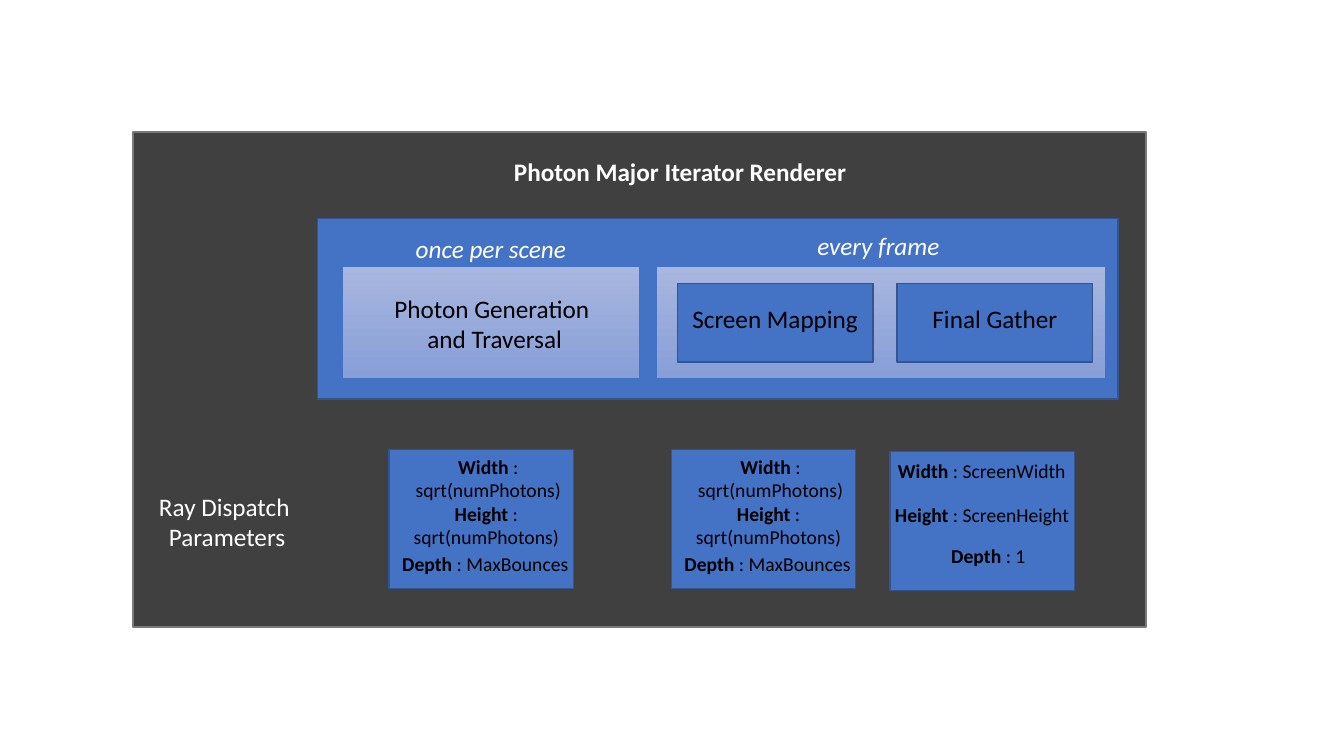
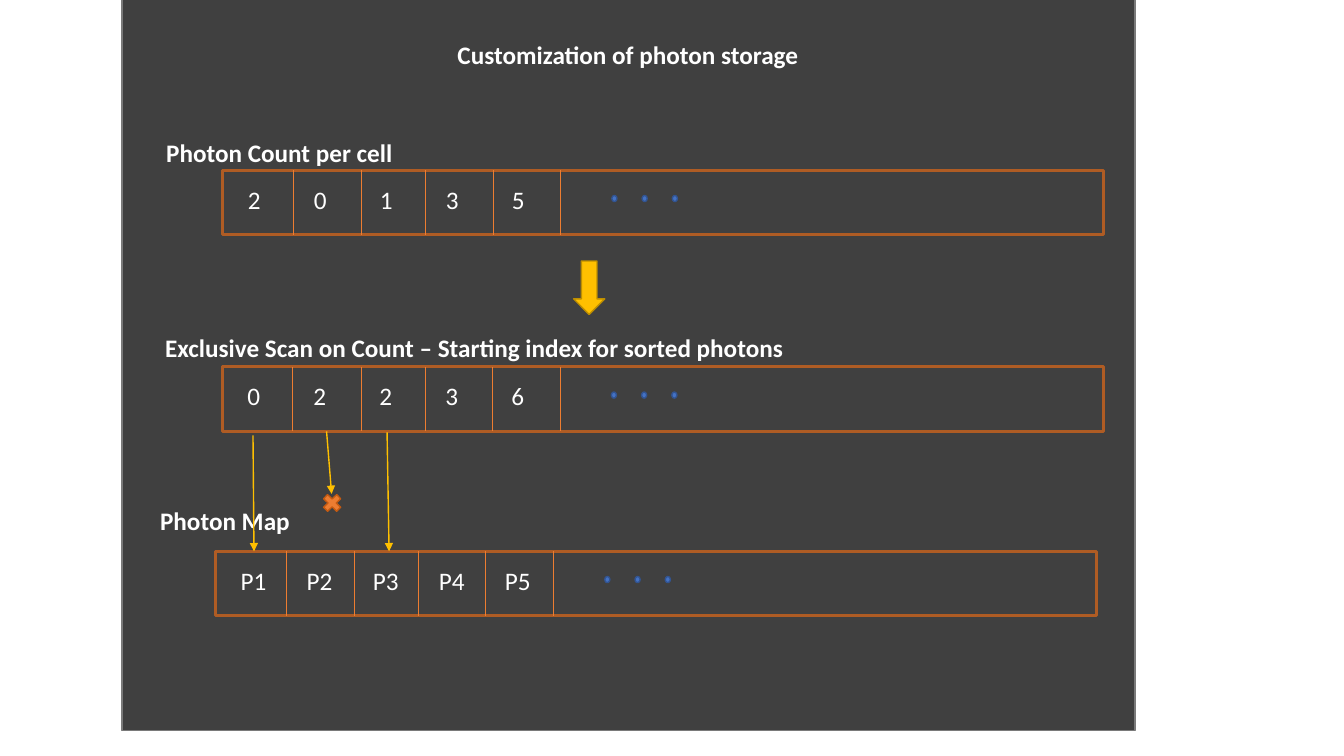
from typing import NamedTuple

from lxml import etree
from pptx import Presentation
from pptx.dml.color import RGBColor
from pptx.enum.shapes import MSO_CONNECTOR, MSO_SHAPE
from pptx.enum.text import MSO_AUTO_SIZE, PP_ALIGN
from pptx.oxml.ns import qn
from pptx.util import Inches, Pt

RECTANGLE, OVAL = MSO_SHAPE.RECTANGLE, MSO_SHAPE.OVAL
DOWN_ARROW, CROSS = MSO_SHAPE.DOWN_ARROW, MSO_SHAPE.MATH_MULTIPLY
STRAIGHT = MSO_CONNECTOR.STRAIGHT
LEFT, CENTER = PP_ALIGN.LEFT, PP_ALIGN.CENTER
FIT_TEXT = MSO_AUTO_SIZE.SHAPE_TO_FIT_TEXT

COLORS = {
    "panel": "404040", "panel_edge": "7A7A7A",
    "blue": "4472C4", "blue_edge": "325491",
    "stage_top": "A8B7DF", "stage_bottom": "889ED7",
    "row_edge": "AF5C24", "orange": "ED7D31", "cross_edge": "C55A11",
    "gold": "FFC000", "gold_edge": "BD8E00",
    "white": "FFFFFF", "black": "000000",
}
GRID = 0.1
COLUMNS, ROWS = 133.33, 75
PANEL_COLUMNS = 100.5
LINE_ROWS = 4
FONT = {"name": "Calibri", "size": Pt(18), "bold": False, "italic": False}

CELL_EDGES = [7, 13.8, 20.1, 26.8, 33.5]
CELL_ROWS = 6.4
LABEL_START, LABEL_STEP = 1.5, 6.55
DOT_START, DOT_STEP = 38.6, 3

PHOTON_LINES = [
    ("Width", " : sqrt(numPhotons)", (0.5, 0, 18.7, 5.7), CENTER),
    ("Height", " : sqrt(numPhotons)", (0.3, 4.7, 18.7, 5.7), CENTER),
    ("Depth", " : MaxBounces", (0.2, 9.7, 18.7, 3.4), CENTER),
]
SCREEN_LINES = [
    ("Width", " : ScreenWidth", (-0.2, 0.2, 18.7, 3.4), LEFT),
    ("Height", " : ScreenHeight", (-0.5, 4.6, 20.1, 3.4), LEFT),
    ("Depth", " : 1", (0.4, 8.7, 18.7, 3.4), CENTER),
]


class Box(NamedTuple):
    """A region measured in grid columns and rows."""
    left: float
    top: float
    width: float
    height: float

    def inside(self, left, top, width, height):
        """Return a region offset from this one."""
        return Box(self.left + left, self.top + top, width, height)

    def lengths(self):
        """Return the region as slide lengths."""
        return [Inches(value * GRID) for value in self]


def color(name):
    """Look up a named colour."""
    return RGBColor.from_string(COLORS[name])


def draw_line(line, edge, weight):
    """Set the colour and weight of an outline."""
    line.color.rgb = color(edge)
    line.width = Pt(weight)


def add_block(slide, kind, box, fill, edge, weight=1):
    """Add a preset shape with a plain, graded or empty fill."""
    shape = slide.shapes.add_shape(kind, *box.lengths())
    shape.shadow.inherit = False
    if fill is None:
        shape.fill.background()
    elif isinstance(fill, tuple):
        shape.fill.gradient()
        shape.fill.gradient_angle = 270
        for stop, name in zip(shape.fill.gradient_stops, fill):
            stop.color.rgb = color(name)
    else:
        shape.fill.solid()
        shape.fill.fore_color.rgb = color(fill)
    draw_line(shape.line, edge, weight)


def add_text(slide, box, spans, ink="white", align=LEFT, wrap=False, **style):
    """Add a text box made of (text, format) spans."""
    frame = slide.shapes.add_textbox(*box.lengths()).text_frame
    frame.word_wrap = wrap
    frame.auto_size = FIT_TEXT
    para = frame.paragraphs[0]
    para.alignment = align
    for text, extra in spans:
        for index, part in enumerate(text.split("\n")):
            if index:
                para.add_line_break()
            span = para.add_run()
            span.text = part
            for key, value in {**FONT, **style, **extra}.items():
                setattr(span.font, key, value)
            span.font.color.rgb = color(ink)


def add_label(slide, box, text, **options):
    """Add a text box with one format."""
    add_text(slide, box, [(text, {})], **options)


def add_connector(slide, start, end, edge, weight, arrow=False):
    """Add a straight line, with an arrowhead at its end if asked."""
    points = [Inches(value * GRID) for value in (*start, *end)]
    connector = slide.shapes.add_connector(STRAIGHT, *points)
    draw_line(connector.line, edge, weight)
    properties = connector.element.spPr
    if arrow:
        head = etree.SubElement(properties.find(qn("a:ln")), qn("a:tailEnd"))
        head.set("type", "triangle")
    etree.SubElement(properties, qn("a:effectLst"))


def add_panel(deck, box, title, title_box):
    """Add a slide with the dark panel and its bold title."""
    slide = deck.slides.add_slide(deck.slide_layouts[6])
    add_block(slide, RECTANGLE, box, "panel", "panel_edge")
    add_label(slide, box.inside(*title_box, LINE_ROWS), title, bold=True)
    return slide


def add_pipeline(slide, box):
    """Draw the render stages with how often each one runs."""
    add_block(slide, RECTANGLE, box, "blue", "blue_edge")
    once = box.inside(2.5, 4.7, 29.4, 11.1)
    every = box.inside(33.6, 4.7, 44.6, 11.1)
    for stage in (once, every):
        add_block(slide, RECTANGLE, stage, ("stage_top", "stage_bottom"), "blue", 0.5)
    black = {"ink": "black", "align": CENTER}
    add_label(slide, once.inside(4, 2.2, 21.6, 7.1),
              "Photon Generation\n and Traversal", **black)
    for left, name in [(2.1, "Screen Mapping"), (23.9, "Final Gather")]:
        step = every.inside(left, 1.7, 19.4, 7.8)
        add_block(slide, RECTANGLE, step, "blue", "blue_edge")
        add_label(slide, step.inside(0, 1.5, step.width, LINE_ROWS), name, **black)
    for left, top, width, text in [(8.4, 1, 17.6, "once per scene"),
                                   (48.5, 0.7, 14.3, "every frame")]:
        add_label(slide, box.inside(left, top, width, LINE_ROWS), text,
                  align=CENTER, italic=True)


def add_parameters(slide, box, lines):
    """Draw a card of ray dispatch parameters."""
    add_block(slide, RECTANGLE, box, "blue", "blue_edge")
    for name, value, place, align in lines:
        add_text(slide, box.inside(*place), [(name, {"bold": True}), (value, {})],
                 ink="black", align=align, wrap=True, size=Pt(14))


def add_cells(slide, box, labels, label_width):
    """Draw a row of labelled cells that trails off in dots."""
    add_block(slide, RECTANGLE, box, None, "row_edge", 2.25)
    bottom = box.top + box.height
    for edge in CELL_EDGES:
        x = box.left + edge
        add_connector(slide, (x, box.top), (x, bottom), "orange", 0.5)
    for index in range(3):
        dot = box.inside(DOT_START + index * DOT_STEP, 2.5, 0.5, 0.6)
        add_block(slide, OVAL, dot, "blue", "blue_edge")
    for index, text in enumerate(labels):
        place = (LABEL_START + index * LABEL_STEP, 0.85, label_width, LINE_ROWS)
        add_label(slide, box.inside(*place), text)


def build_renderer(deck, box):
    """Build the renderer overview."""
    slide = add_panel(deck, box, "Photon Major Iterator Renderer", (36.8, 1.9, 35.3))
    add_pipeline(slide, box.inside(18.3, 8.6, 79.4, 17.9))
    add_label(slide, box.inside(1.5, 35.1, 15.1, 7.1),
              "Ray Dispatch\n Parameters", align=CENTER)
    for left, top, lines in [(25.4, 31.5, PHOTON_LINES), (53.4, 31.5, PHOTON_LINES),
                             (75.1, 31.7, SCREEN_LINES)]:
        add_parameters(slide, box.inside(left, top, 18.3, 13.8), lines)


def build_storage(deck, box):
    """Build the photon storage diagram."""
    slide = add_panel(deck, box, "Customization of photon storage", (32.3, 3.8, 36.1))
    rows = [
        ("Photon Count per cell", (3.4, 13.5, 24.6), (10, 17.3), "20135", 3.3),
        ("Exclusive Scan on Count – Starting index for sorted photons",
         (3.3, 32.9, 63.9), (9.95, 36.8), "02236", 3.3),
        ("Photon Map", (2.8, 50, 15), (9.3, 55.1),
         [f"P{number}" for number in range(1, 6)], 4.6),
    ]
    for heading, place, corner, labels, label_width in rows:
        add_label(slide, box.inside(*place, LINE_ROWS), heading, bold=True)
        add_cells(slide, box.inside(*corner, 87.4, CELL_ROWS), labels, label_width)
    add_block(slide, DOWN_ARROW, box.inside(44.8, 26.3, 3.1, 5.3), "gold", "gold_edge")
    add_block(slide, CROSS, box.inside(19.6, 49.1, 2.5, 2.4), "orange", "cross_edge")
    for start, end in [((13, 43.6), (13.1, 55.1)), ((20.3, 43.2), (20.8, 49.4)),
                       ((26.3, 43.3), (26.5, 55.1))]:
        ends = [box.inside(*point, 0, 0)[:2] for point in (start, end)]
        add_connector(slide, *ends, "gold", 1, arrow=True)


deck = Presentation()
deck.slide_width = Inches(COLUMNS * GRID)
deck.slide_height = Inches(ROWS * GRID)
build_renderer(deck, Box(13.2, 13.1, PANEL_COLUMNS, 49.1))
build_storage(deck, Box(12.1, -0.4, PANEL_COLUMNS, 72.9))
deck.save("out.pptx")
